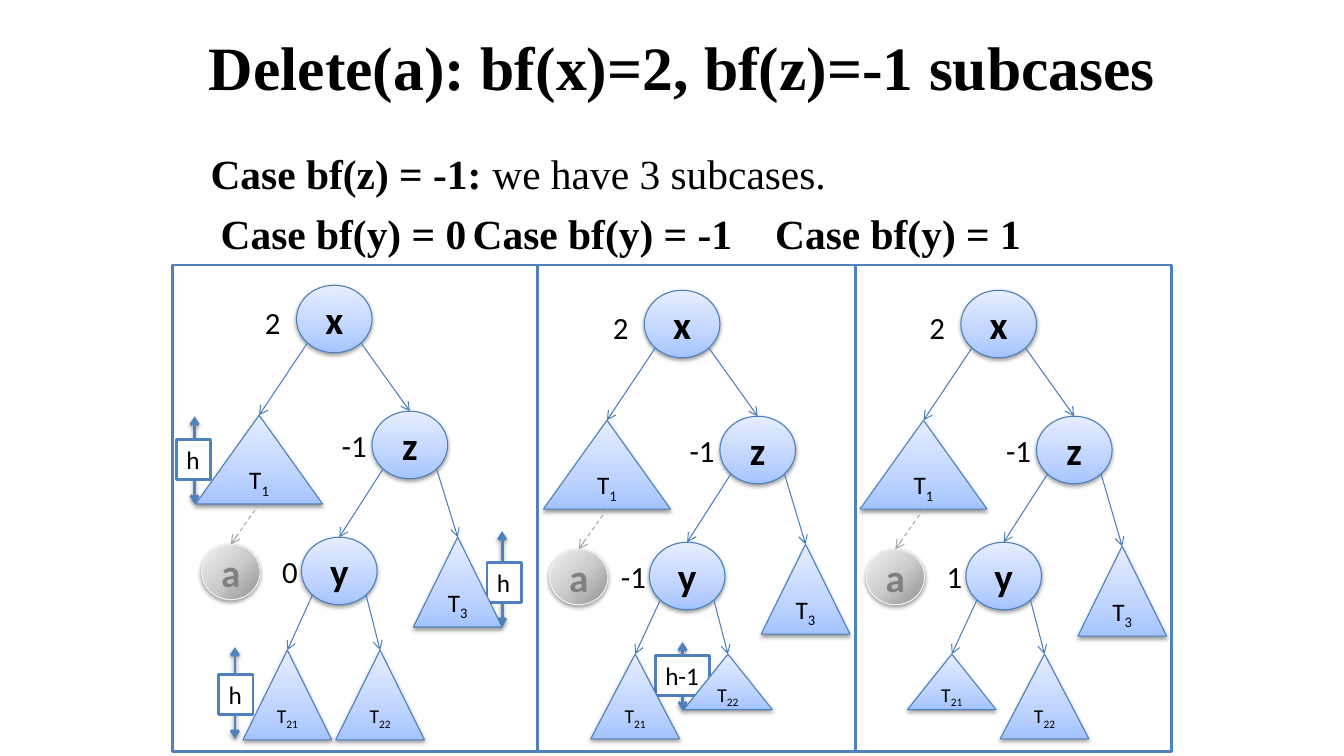
from lxml import etree
from pptx import Presentation
from pptx.dml.color import RGBColor
from pptx.enum.dml import MSO_LINE_DASH_STYLE as Dash
from pptx.enum.shapes import MSO_CONNECTOR, MSO_SHAPE
from pptx.enum.text import MSO_ANCHOR, PP_ALIGN
from pptx.oxml.ns import qn
from pptx.util import Inches, Pt

# Content
TITLE = "Delete(a): bf(x)=2, bf(z)=-1 subcases"
INTRO = [("Case bf(z) = -1:", True), (" we have 3 subcases.", False)]
CASES = ["Case bf(y) = 0", "Case bf(y) = -1", "Case bf(y) = 1"]
CASE_TABS = [3.46, 6.76]
# Each tree: left and top of x, balance of y, top of T3, top and heights of T21 and T22
TREES = [
    (2.94, 2.83, "0", 2.50, 3.62, (0.89, 0.89)),
    (6.39, 2.88, "-1", 2.52, 3.61, (0.84, 0.55)),
    (9.53, 2.88, "1", 2.54, 3.61, (0.55, 0.84)),
]
# Height marks: label, arrow x, arrow top and bottom, label box
HEIGHTS = [
    ("h", 4.98, 5.27, 6.22, (4.83, 5.58, 0.34, 0.40)),
    ("h", 1.93, 4.13, 5.00, (1.75, 4.36, 0.34, 0.40)),
    ("h-1", 6.77, 6.37, 7.05, (6.50, 6.50, 0.54, 0.40)),
    ("h", 2.33, 6.42, 7.33, (2.17, 6.69, 0.34, 0.40)),
]
FRAME_EDGES = [1.71, 5.33, 8.49, 11.62]
FRAME_TOP, FRAME_HEIGHT = 2.63, 4.83

# Style
BLUE = ([(0, "A4C4FF"), (35, "BFD4FF"), (100, "E6EEFF")], 270, "4B7EBC", "000000")
GREY = ([(0, "909090"), (50, "CCCCCC"), (100, "F2F2F2")], 225, "F2F2F2", "808080")
ACCENT = "4F81BD"
NODE_SIZE = (0.75, 0.67)
SERIF, SANS = "Times New Roman", "Calibri"

presentation = Presentation()
presentation.slide_width, presentation.slide_height = Inches(13.33), Inches(7.5)
slide = presentation.slides.add_slide(presentation.slide_layouts[6])
shapes = slide.shapes


def color(value):
    return RGBColor.from_string(value)


def set_font(target, size, name, value="000000", bold=False):
    font = target.font
    font.size, font.name, font.bold = Pt(size), name, bold
    font.color.rgb = color(value)


def add_child(parent, tag, **attributes):
    return etree.SubElement(parent, qn(tag), {k: str(v) for k, v in attributes.items()})


def add_effects(properties, shadow):
    effects = add_child(properties, "a:effectLst")
    if shadow:
        outer = add_child(effects, "a:outerShdw", blurRad=Pt(3.1), dist=Pt(1.6),
                          dir=5400000, rotWithShape=0)
        add_child(add_child(outer, "a:srgbClr", val="000000"), "a:alpha", val=38000)


def add_text(text, box, size, name=SANS, bold=False, wrap=False):
    textbox = shapes.add_textbox(*map(Inches, box))
    frame = textbox.text_frame
    frame.word_wrap = wrap
    paragraph = frame.paragraphs[0]
    paragraph.text = text
    set_font(paragraph, size, name, bold=bold)
    return textbox


def add_part(kind, box, text, size, subscript="", style=BLUE):
    """Add a gradient node or subtree; return its box."""
    stops, angle, line_color, text_color = style
    shape = shapes.add_shape(kind, *map(Inches, box))
    shape.line.color.rgb = color(line_color)
    shape.line.width = Pt(0.75)
    properties = shape.element.spPr
    gradient = etree.Element(qn("a:gradFill"), rotWithShape="1")
    stop_list = add_child(gradient, "a:gsLst")
    for position, value in stops:
        stop = add_child(stop_list, "a:gs", pos=position * 1000)
        add_child(stop, "a:srgbClr", val=value)
    add_child(gradient, "a:lin", ang=angle * 60000, scaled=0)
    properties.find(qn("a:ln")).addprevious(gradient)
    add_effects(properties, True)

    frame = shape.text_frame
    frame.word_wrap = False
    frame.vertical_anchor = MSO_ANCHOR.MIDDLE
    paragraph = frame.paragraphs[0]
    paragraph.alignment = PP_ALIGN.CENTER
    paragraph.add_run().text = text
    if subscript:
        run = paragraph.add_run()
        run.text = subscript
        run.font._element.set("baseline", "-25000")
    set_font(paragraph, size, SANS, text_color, bold=not subscript)
    return box


def add_arrow(start, end, line_color="4B7EBC", width=0.75, dashed=False, double=False):
    connector = shapes.add_connector(MSO_CONNECTOR.STRAIGHT, *map(Inches, (*start, *end)))
    connector.line.color.rgb = color(line_color)
    connector.line.width = Pt(width)
    if dashed:
        connector.line.dash_style = Dash.DASH
    line = connector.line._get_or_add_ln()
    for tag in (["a:headEnd"] if double else []) + ["a:tailEnd"]:
        add_child(line, tag, type="arrow")
    add_effects(connector.element.spPr, double)


def top_point(box):
    return box[0] + box[2] / 2, box[1]


def add_branches(parent, *children):
    """Join the lower diagonals of a node to the tops of its two children."""
    left, top, width, height = parent
    for side, child in zip((0.146, 0.854), children):
        add_arrow((left + side * width, top + 0.854 * height), top_point(child))


def add_balance(text, right, top):
    width = 0.36 if len(text) == 1 else 0.45
    add_text(text, (right - width, top, width, 0.47), 22)


def add_tree(left, top, y_balance, t3_top, t2_top, t2_heights):
    def place(dx, dy, width, height):
        return left + dx, top + dy, width, height

    oval, triangle = MSO_SHAPE.OVAL, MSO_SHAPE.ISOSCELES_TRIANGLE
    x = add_part(oval, place(0, 0, *NODE_SIZE), "x", 28)
    z = add_part(oval, place(0.75, 1.25, *NODE_SIZE), "z", 28)
    y = add_part(oval, place(0.05, 2.5, *NODE_SIZE), "y", 28)
    a = add_part(oval, place(-0.94, 2.57, 0.58, 0.55), "a", 28, style=GREY)
    t1 = add_part(triangle, place(-1, 1.29, 1.26, 0.88), "T", 18, "1")
    t3 = add_part(triangle, place(1.16, t3_top, 0.88, 0.89), "T", 18, "3")
    t21, t22 = [
        add_part(triangle, place(dx, t2_top, 0.88, height), "T", 14, subscript)
        for dx, height, subscript in zip((-0.53, 0.39), t2_heights, ("21", "22"))
    ]
    add_branches(x, t1, z)
    add_branches(z, y, t3)
    add_branches(y, t21, t22)
    middle, t1_top = top_point(t1)
    add_arrow((middle, t1_top + t1[3]), top_point(a), "A6A6A6", dashed=True)
    add_balance("2", left - 0.05, top + 0.13)
    add_balance("-1", left + 0.8, top + 1.35)
    add_balance(y_balance, left + 0.12, top + 2.6)


# Title
title = add_text(TITLE, (1.56, 0.03, 10.42, 1.25), 44, SERIF, bold=True, wrap=True)
title.text_frame.vertical_anchor = MSO_ANCHOR.MIDDLE
title.text_frame.paragraphs[0].alignment = PP_ALIGN.CENTER

# Introduction and case headings
body = add_text("", (1.99, 1.42, 9.57, 1.16), 29.6, SERIF, wrap=True).text_frame
for text, bold in INTRO:
    run = body.paragraphs[0].add_run()
    run.text = text
    run.font.bold = bold
headings = body.add_paragraph()
headings.text = "\t".join(CASES)
heading_properties = headings._p.get_or_add_pPr()
heading_properties.set("marL", str(Inches(0.1)))
heading_properties.set("indent", "0")
tabs = add_child(heading_properties, "a:tabLst")
for position in CASE_TABS:
    add_child(tabs, "a:tab", pos=Inches(position), algn="l")
headings.space_before = Pt(7)
set_font(headings, 29.6, SERIF, bold=True)

# Height marks, behind the trees
for text, x, top, bottom, box in HEIGHTS:
    add_arrow((x, top), (x, bottom), ACCENT, 2, double=True)
    label = add_text(text, box, 18)
    label.fill.solid()
    label.fill.fore_color.rgb = color("FFFFFF")
    label.line.color.rgb = color(ACCENT)
    label.line.width = Pt(2)

# Trees
for tree in TREES:
    add_tree(*tree)

# Frames
for left, right in zip(FRAME_EDGES, FRAME_EDGES[1:]):
    frame = shapes.add_shape(MSO_SHAPE.RECTANGLE, *map(
        Inches, (left, FRAME_TOP, right - left, FRAME_HEIGHT)))
    frame.shadow.inherit = False
    frame.fill.background()
    frame.line.color.rgb = color(ACCENT)
    frame.line.width = Pt(2)

presentation.save("out.pptx")
